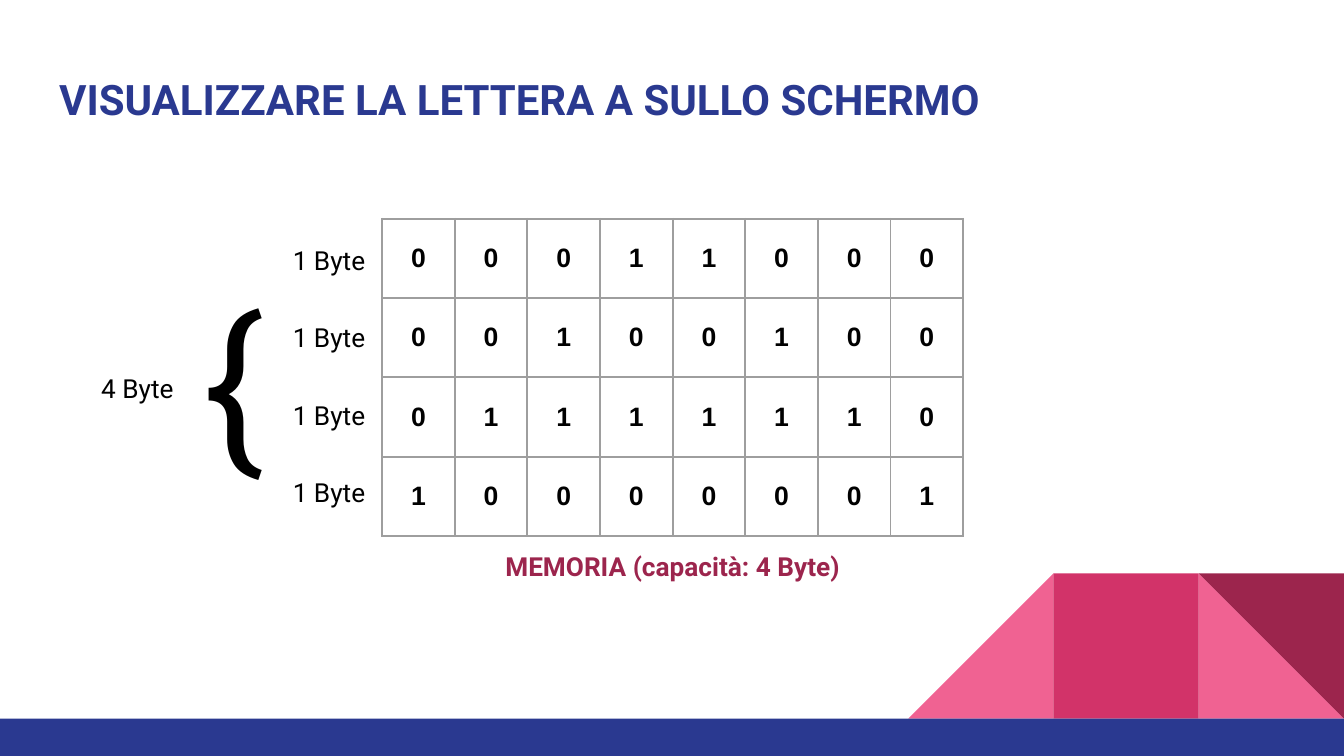
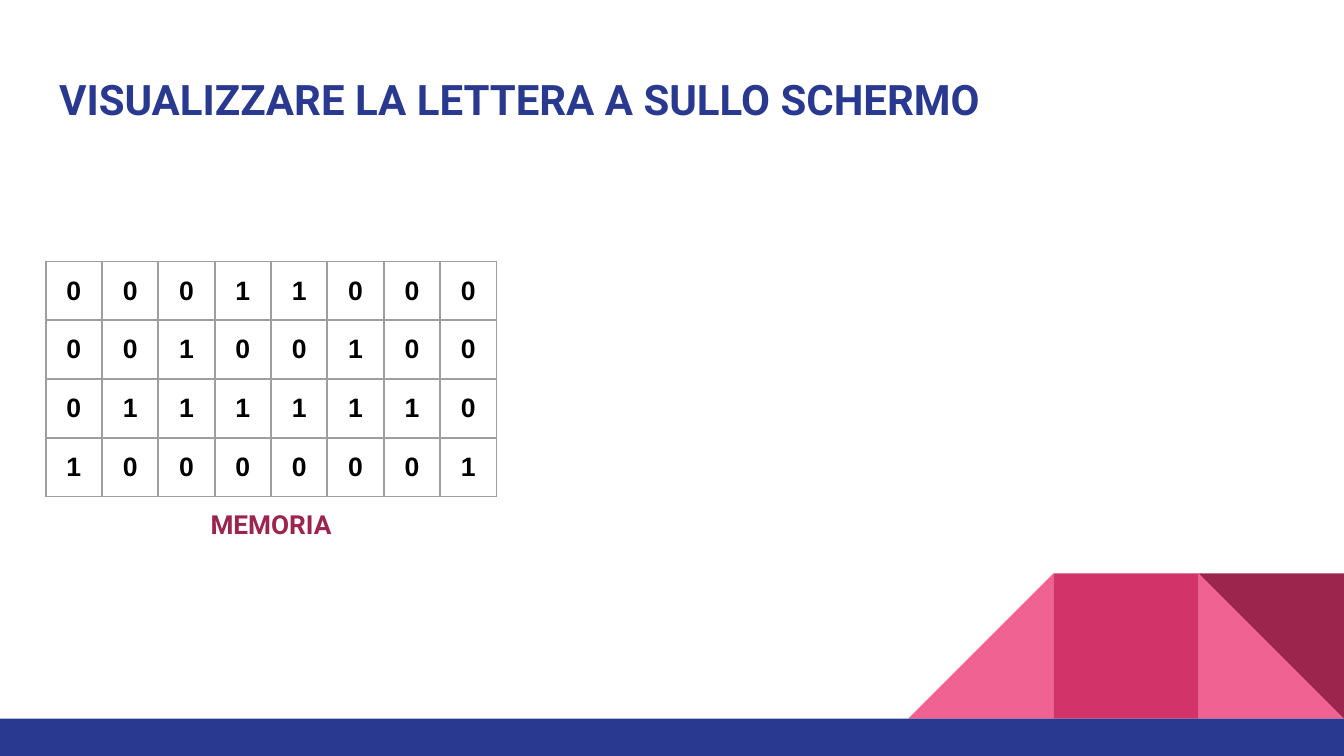
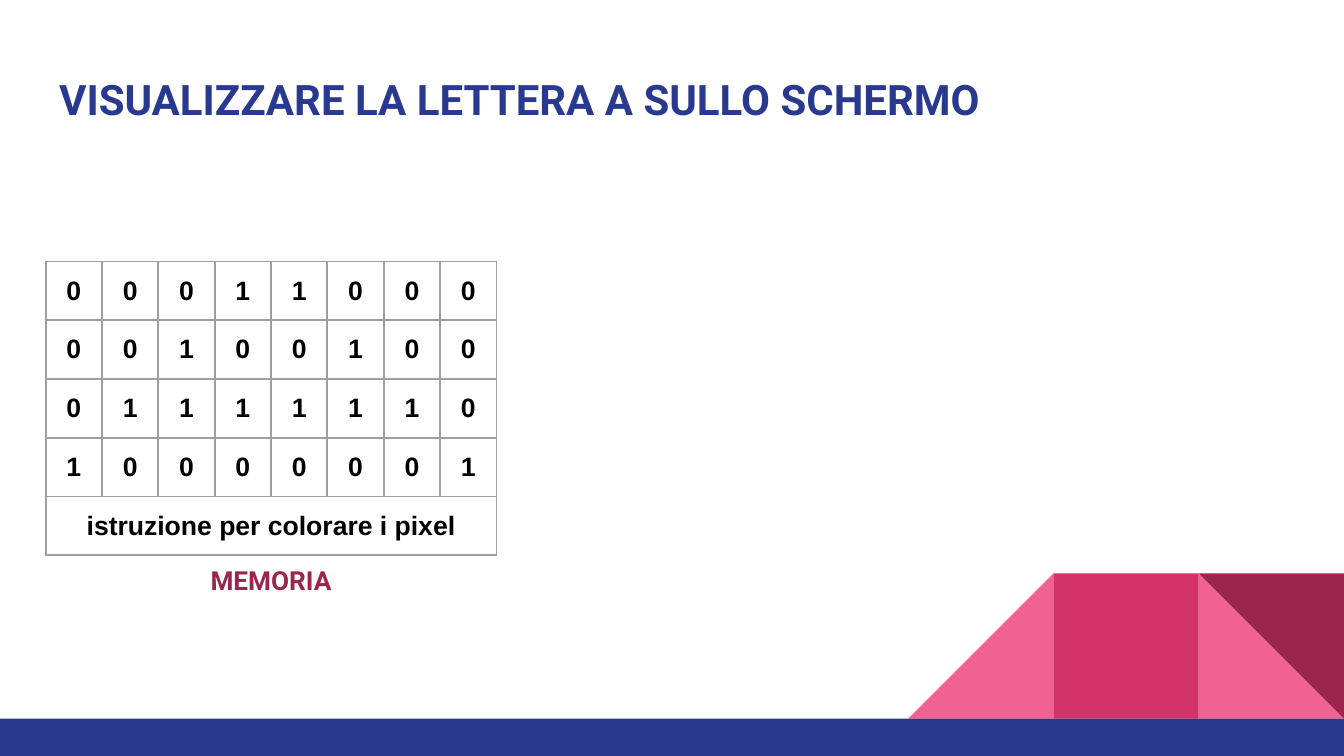
from lxml.etree import SubElement
from pptx import Presentation
from pptx.dml.color import RGBColor
from pptx.enum.shapes import MSO_SHAPE
from pptx.enum.text import MSO_ANCHOR, MSO_AUTO_SIZE, PP_ALIGN
from pptx.oxml.ns import qn
from pptx.util import Cm, Pt

SLIDE_WIDTH, SLIDE_HEIGHT = 33.87, 19.05
BAND_TOP = 18.11
BLOCK = 3.66
INSET = 0.34
BLUE, PINK, MAGENTA, WINE = "2A3990", "F06292", "D23369", "9C254D"
BLACK, GREY = "000000", "9E9E9E"
TITLE = "VISUALIZZARE LA LETTERA A SULLO SCHERMO"
LETTER_A = ["00011000", "00100100", "01111110", "10000001"]


def color(value):
    """Turn a hex string into a colour."""
    return RGBColor.from_string(value)


def write_text(text_frame, text, size=18.7, font="Roboto", fill=BLACK, bold=False,
               align=PP_ALIGN.LEFT):
    """Write one formatted paragraph into a text frame."""
    paragraph = text_frame.paragraphs[0]
    paragraph.alignment = align
    run = paragraph.add_run()
    run.text = text
    run.font.size = Pt(size)
    run.font.name = font
    run.font.bold = bold
    run.font.color.rgb = color(fill)


def set_insets(holder):
    """Give a text frame or a table cell the common inner margins."""
    holder.margin_left = holder.margin_right = Cm(INSET)
    holder.margin_top = holder.margin_bottom = Cm(INSET)


def add_block(shapes, kind, left, top, width, height, fill, rotation=0):
    """Add a plain filled shape without outline."""
    shape = shapes.add_shape(kind, Cm(left), Cm(top), Cm(width), Cm(height))
    shape.shadow.inherit = False
    shape.fill.solid()
    shape.fill.fore_color.rgb = color(fill)
    shape.line.fill.background()
    shape.rotation = rotation


def add_label(slide, text, left, top, width, height=1.47, **text_format):
    """Add a text box that grows with its text."""
    text_box = slide.shapes.add_textbox(Cm(left), Cm(top), Cm(width), Cm(height))
    text_frame = text_box.text_frame
    text_frame.word_wrap = True
    text_frame.auto_size = MSO_AUTO_SIZE.SHAPE_TO_FIT_TEXT
    set_insets(text_frame)
    write_text(text_frame, text, **text_format)


def add_borders(cell):
    """Draw a grey line on each side of a cell."""
    properties = cell._tc.get_or_add_tcPr()
    for position, side in enumerate(("a:lnL", "a:lnR", "a:lnT", "a:lnB")):
        line = SubElement(properties, qn(side), w=str(Pt(1.5)))
        fill = SubElement(line, qn("a:solidFill"))
        SubElement(fill, qn("a:srgbClr"), val=GREY)
        properties.insert(position, line)


def add_memory(slide, caption, left, top, column_width, row_height, caption_top,
               instruction=None):
    """Add the table of bits, an optional instruction row and the caption."""
    rows = LETTER_A + ([instruction] if instruction else [])
    columns = len(LETTER_A[0])
    width = columns * column_width
    table = slide.shapes.add_table(len(rows), columns, Cm(left), Cm(top), Cm(width),
                                   Cm(len(rows) * row_height)).table
    table.first_row = table.horz_banding = False
    for column in table.columns:
        column.width = Cm(column_width)
    for row in table.rows:
        row.height = Cm(row_height)
    for cell in table.iter_cells():
        cell.fill.background()
        cell.vertical_anchor = MSO_ANCHOR.MIDDLE
        set_insets(cell)
        add_borders(cell)
    if instruction:
        table.cell(len(LETTER_A), 0).merge(table.cell(len(LETTER_A), columns - 1))
    for row_index, row_text in enumerate(rows):
        texts = [row_text] if row_text == instruction else row_text
        for column_index, text in enumerate(texts):
            write_text(table.cell(row_index, column_index).text_frame, text, size=19,
                       font="Arial", bold=True, align=PP_ALIGN.CENTER)
    add_label(slide, caption, left, caption_top, width, fill=WINE, bold=True,
              align=PP_ALIGN.CENTER)


def design_layout(layout, slide):
    """Set the title place and move the decoration, drawn on a slide, to the layout."""
    for placeholder in list(layout.placeholders):
        if placeholder.placeholder_format.idx:
            placeholder.element.getparent().remove(placeholder.element)
    title = layout.placeholders[0]
    title.left, title.top, title.width, title.height = Cm(1.15), Cm(1.52), Cm(31.55), Cm(2.26)
    title.text_frame.vertical_anchor = MSO_ANCHOR.TOP
    title.text_frame.auto_size = MSO_AUTO_SIZE.NONE
    set_insets(title.text_frame)

    group = slide.shapes.add_group_shape()
    block_left, block_top = SLIDE_WIDTH - BLOCK, BAND_TOP - BLOCK
    for kind, steps, fill, rotation in (
        (MSO_SHAPE.RIGHT_TRIANGLE, 0, PINK, 0),
        (MSO_SHAPE.RIGHT_TRIANGLE, 2, PINK, 270),
        (MSO_SHAPE.RECTANGLE, 1, MAGENTA, 0),
        (MSO_SHAPE.RIGHT_TRIANGLE, 0, WINE, 180),
    ):
        add_block(group.shapes, kind, block_left - steps * BLOCK, block_top, BLOCK, BLOCK,
                  fill, rotation)
    add_block(group.shapes, MSO_SHAPE.RECTANGLE, 0, BAND_TOP, SLIDE_WIDTH,
              SLIDE_HEIGHT - BAND_TOP, BLUE)
    layout.shapes.element.append(group.element)


def add_byte_labels(slide):
    """Label each row as one byte and bracket the four of them."""
    for index in range(len(LETTER_A)):
        add_label(slide, "1 Byte", 7.04, 5.82 + index * 1.95, 2.59)
    add_label(slide, "{", 4.8, 6.45, 2.24, 6.15, size=128)
    add_label(slide, "4 Byte", 2.21, 9.04, 2.59)


def main():
    """Build and save the presentation."""
    presentation = Presentation()
    presentation.slide_width = Cm(SLIDE_WIDTH)
    presentation.slide_height = Cm(SLIDE_HEIGHT)
    layout = presentation.slide_layouts[5]
    slides = [presentation.slides.add_slide(layout) for _ in range(3)]
    design_layout(layout, slides[0])
    for slide in slides:
        write_text(slide.shapes.title.text_frame, TITLE, size=30, fill=BLUE, bold=True)

    capacity_slide, memory_slide, instruction_slide = slides
    add_memory(capacity_slide, "MEMORIA (capacità: 4 Byte)", 9.63, 5.51, 1.83, 2, 13.54)
    add_byte_labels(capacity_slide)
    small_table = {"left": 1.15, "top": 6.59, "column_width": 1.42, "row_height": 1.48}
    add_memory(memory_slide, "MEMORIA", caption_top=12.47, **small_table)
    add_memory(instruction_slide, "MEMORIA", caption_top=13.89,
               instruction="istruzione per colorare i pixel", **small_table)
    presentation.save("out.pptx")


if __name__ == "__main__":
    main()
